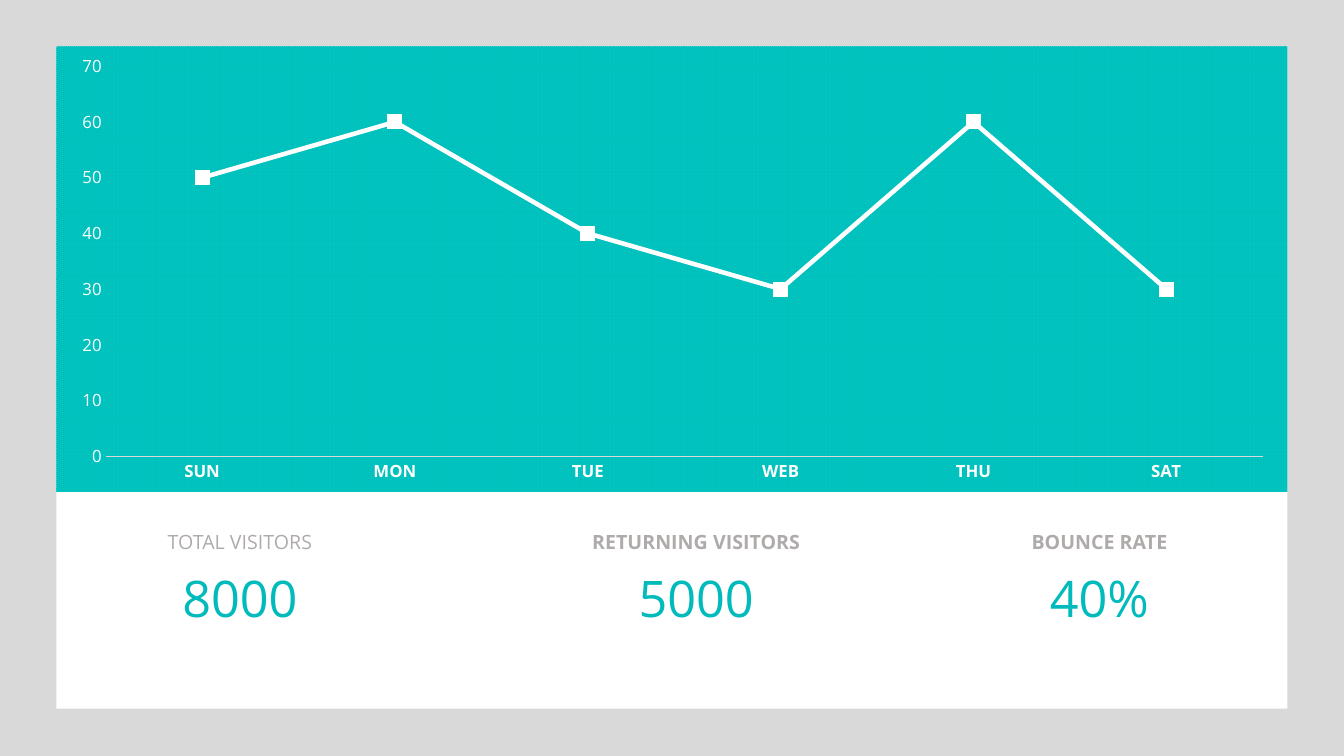
from lxml.etree import fromstring
from pptx import Presentation
from pptx.chart.data import CategoryChartData
from pptx.dml.color import RGBColor
from pptx.enum.chart import XL_CHART_TYPE, XL_MARKER_STYLE, XL_TICK_MARK
from pptx.enum.shapes import MSO_SHAPE
from pptx.enum.text import MSO_AUTO_SIZE, PP_ALIGN
from pptx.oxml.ns import nsdecls, qn
from pptx.util import Emu, Pt

PX = 9144  # 100 px to the inch
FONT = "Open Sans"
WHITE = RGBColor(0xFF, 0xFF, 0xFF)
BACKDROP = RGBColor(0xD9, 0xD9, 0xD9)
LABEL_GREY = RGBColor(0xAF, 0xAB, 0xAB)
TEAL = RGBColor(0x01, 0xBA, 0xBC)
LIGHT_TEAL = RGBColor(0x01, 0xC4, 0xBF)

CARD = (56, 46, 1221, 657)
CHART_HEIGHT = 442
DAYS = ("SUN", "MON", "TUE", "WEB", "THU", "SAT")
VISITS = (50, 60, 40, 30, 60, 30)
# Label, value, centre from the card's left edge, label width, value width, bold label
STATS = (
    ("TOTAL VISITORS", "8000", 182, 210, 210, False),
    ("RETURNING VISITORS", "5000", 634, 233, 253, True),
    ("BOUNCE RATE", "40%", 1034, 233, 253, True),
)


def px(*lengths):
    return [Emu(length * PX) for length in lengths]


def style_font(font, size, color, bold=False):
    font.name = FONT
    font.size = Pt(size)
    font.bold = bold
    font.color.rgb = color


def add_card(page, box):
    card = page.shapes.add_shape(MSO_SHAPE.RECTANGLE, *px(*box))
    card.shadow.inherit = False
    card.fill.solid()
    card.fill.fore_color.rgb = WHITE
    card.line.fill.background()


def fill_chart_area(chart):
    """Give the chart area a small grid pattern and no border."""
    area = fromstring(
        f'<c:spPr {nsdecls("c", "a")}><a:pattFill prst="smGrid">'
        f'<a:fgClr><a:srgbClr val="{LIGHT_TEAL}"/></a:fgClr>'
        f'<a:bgClr><a:srgbClr val="{TEAL}"/></a:bgClr>'
        '</a:pattFill><a:ln><a:noFill/></a:ln></c:spPr>')
    chart.element.find(qn("c:chart")).addnext(area)


def place_plot(chart, **fractions):
    """Fix the inner plot area as fractions of the chart box."""
    plot_area = chart.element.find(qn("c:chart")).find(qn("c:plotArea"))
    for layout in plot_area.findall(qn("c:layout")):
        plot_area.remove(layout)
    sides = "".join(f'<c:{side} val="{value}"/>' for side, value in fractions.items())
    plot_area.insert(0, fromstring(
        f'<c:layout {nsdecls("c")}><c:manualLayout><c:layoutTarget val="inner"/>'
        f'<c:xMode val="edge"/><c:yMode val="edge"/>{sides}'
        '</c:manualLayout></c:layout>'))


def add_visits_chart(page, box):
    chart_data = CategoryChartData()
    chart_data.categories = DAYS
    chart_data.add_series("Series 1", VISITS)
    chart = page.shapes.add_chart(
        XL_CHART_TYPE.LINE_MARKERS, *px(*box), chart_data).chart
    chart.has_legend = False
    chart.has_title = False
    style_font(chart.font, 10, WHITE)
    fill_chart_area(chart)
    place_plot(chart, x=0.04, y=0.045, w=0.94, h=0.875)

    # Axes
    days, visits = chart.category_axis, chart.value_axis
    for axis in (days, visits):
        axis.major_tick_mark = axis.minor_tick_mark = XL_TICK_MARK.NONE
        axis.has_major_gridlines = False
        style_font(axis.tick_labels.font, 12, WHITE, bold=axis is days)
    days.format.line.color.rgb = BACKDROP
    days.format.line.width = Pt(0.75)
    visits.format.line.fill.background()
    visits.minimum_scale, visits.maximum_scale, visits.major_unit = 0, 70, 10

    # Line and markers
    chart.plots[0].vary_by_categories = False
    series = chart.plots[0].series[0]
    series.smooth = False
    series.format.line.color.rgb = WHITE
    series.format.line.width = Pt(3.25)
    series.marker.style = XL_MARKER_STYLE.SQUARE
    series.marker.size = 10
    series.marker.format.fill.solid()
    series.marker.format.fill.fore_color.rgb = WHITE
    series.marker.format.line.color.rgb = WHITE


def add_centred_text(page, box, text, size, color, bold=False):
    frame = page.shapes.add_textbox(*px(*box)).text_frame
    frame.word_wrap = True
    frame.auto_size = MSO_AUTO_SIZE.SHAPE_TO_FIT_TEXT
    frame.text = text
    para = frame.paragraphs[0]
    para.alignment = PP_ALIGN.CENTER
    style_font(para.runs[0].font, size, color, bold)


def add_stats(page, box):
    left, top, _, _ = box
    for label, value, offset, label_width, value_width, bold in STATS:
        centre = left + offset
        add_centred_text(page, (centre - label_width // 2, top + 33, label_width, 34),
                         label, 14, LABEL_GREY, bold)
        add_centred_text(page, (centre - value_width // 2, top + 70, value_width, 71),
                         value, 36, TEAL)


def build_visitors_slide(deck):
    page = deck.slides.add_slide(deck.slide_layouts[6])
    page.background.fill.solid()
    page.background.fill.fore_color.rgb = BACKDROP
    left, top, width, height = CARD
    add_card(page, CARD)
    add_visits_chart(page, (left, top, width, CHART_HEIGHT))
    add_stats(page, (left, top + CHART_HEIGHT, width, height - CHART_HEIGHT))


def main():
    deck = Presentation()
    deck.slide_width, deck.slide_height = px(1333, 750)
    build_visitors_slide(deck)
    deck.save("out.pptx")


if __name__ == "__main__":
    main()
